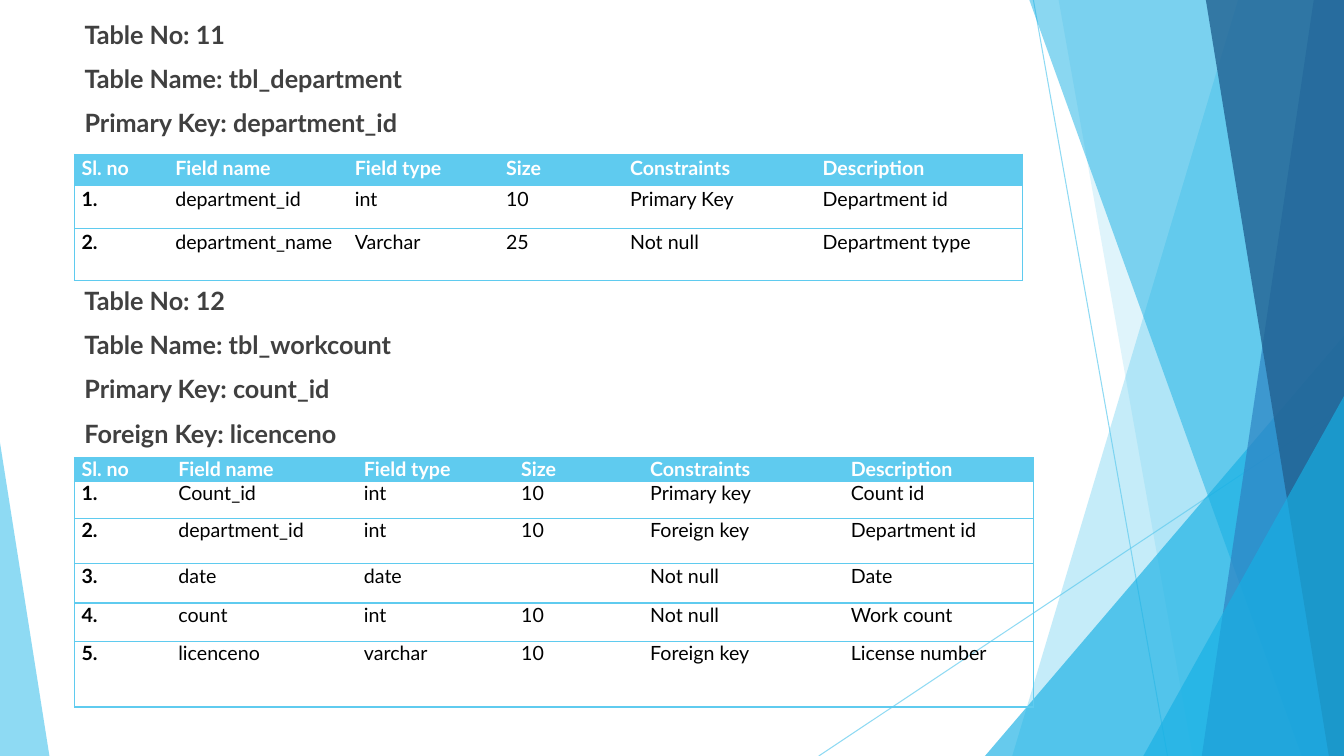
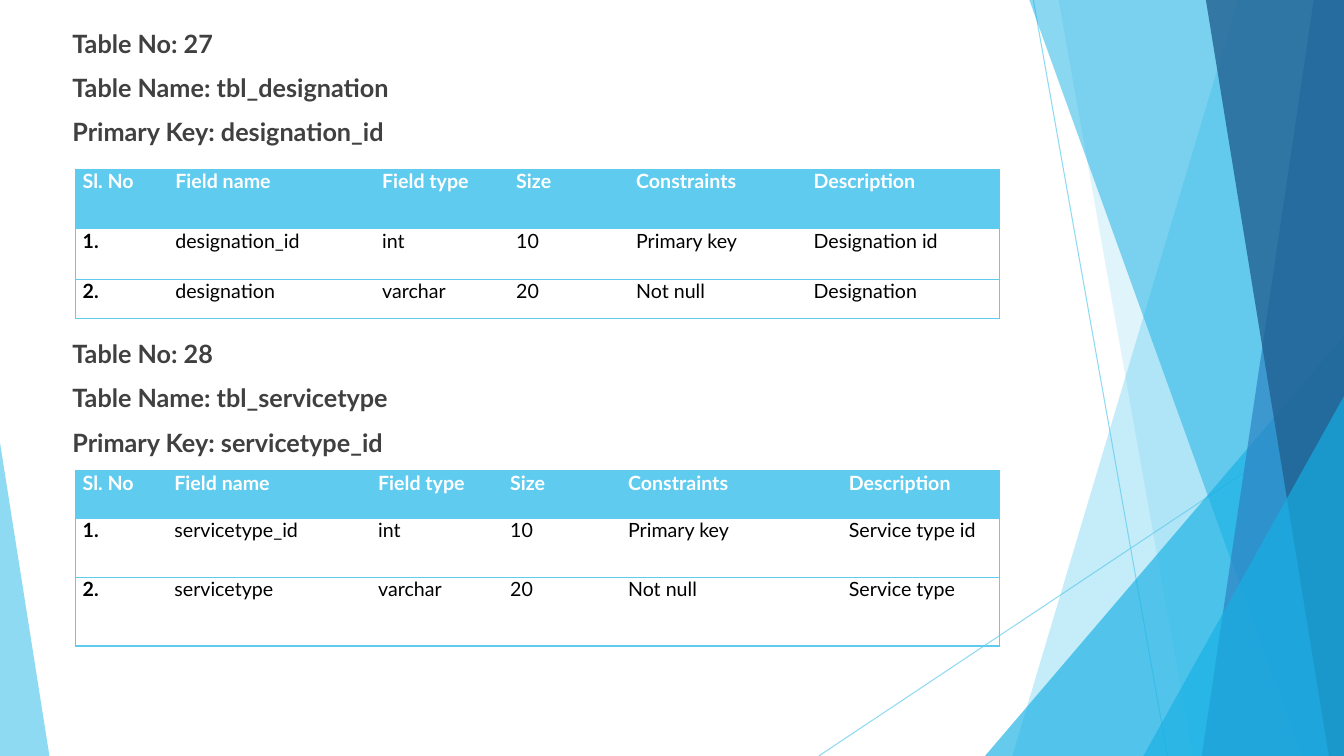
from lxml.etree import SubElement
from pptx import Presentation
from pptx.dml.color import RGBColor
from pptx.enum.shapes import MSO_CONNECTOR, MSO_SHAPE
from pptx.enum.text import PP_ALIGN
from pptx.oxml.ns import qn
from pptx.util import Emu, Inches, Pt

# Shared style
SKY = RGBColor(0x5F, 0xCB, 0xEF)
CYAN = RGBColor(0x17, 0xB0, 0xE4)
BLUE = RGBColor(0x2E, 0x83, 0xC3)
NAVY = RGBColor(0x22, 0x62, 0x92)
GREY = RGBColor(0x40, 0x40, 0x40)
BLACK = RGBColor(0, 0, 0)
WHITE = RGBColor(0xFF, 0xFF, 0xFF)
FONT = "Lato"
NO_GRID_STYLE = "{2D5ABB26-0587-4C30-8999-92F81FD0307C}"
FIELDS = ["Field name", "Field type", "Size", "Constraints", "Description"]

prs = Presentation()
prs.slide_width, prs.slide_height = Inches(13.33), Inches(7.5)
blank = prs.slide_layouts[6]


def across(percent):
    return Emu(round(prs.slide_width * percent / 100))


def down(percent):
    return Emu(round(prs.slide_height * percent / 100))


def set_alpha(fill_parent, percent):
    color = next(fill_parent.iter(qn("a:srgbClr")))
    SubElement(color, qn("a:alpha"), val=str(percent * 1000))


def style_runs(p, size, color, bold):
    for r in p.runs:
        r.font.name, r.font.size = FONT, Pt(size)
        r.font.color.rgb, r.font.bold = color, bold


# Backdrop: all positions are percentages of the slide
def paint(sp, color, alpha):
    sp.shadow.inherit = False
    sp.fill.solid()
    sp.fill.fore_color.rgb = color
    sp.line.fill.background()
    set_alpha(sp.element.spPr, alpha)


def add_ray(shapes, x1, y1, x2, y2):
    ray = shapes.add_connector(MSO_CONNECTOR.STRAIGHT, across(x1), down(y1),
                               across(x2), down(y2))
    ray.line.color.rgb, ray.line.width = SKY, Pt(0.75)
    set_alpha(ray.element.spPr, 70)
    SubElement(ray.element.spPr, qn("a:effectLst"))


def add_band(shapes, top_x, bottom_x, color, alpha):
    builder = shapes.build_freeform(across(top_x), 0)
    builder.add_line_segments([(across(100), 0), (across(100), down(100)),
                               (across(bottom_x), down(100))])
    paint(builder.convert_to_shape(), color, alpha)


def add_corner(shapes, left, right, top, apex, color, alpha):
    sp = shapes.add_shape(MSO_SHAPE.ISOSCELES_TRIANGLE, across(left), down(top),
                          across(right - left), down(100 - top))
    sp.adjustments[0] = apex
    paint(sp, color, alpha)


def add_backdrop(slide, layout):
    """Draw the facets as one group and hand it to the layout."""
    group = slide.shapes.add_group_shape()
    shapes = group.shapes
    add_ray(shapes, 76.89, 0, 86.87, 100)
    add_ray(shapes, 100, 53.73, 60.92, 100)
    add_band(shapes, 92.12, 75.32, SKY, 36)
    add_band(shapes, 78.77, 88.75, SKY, 20)
    add_corner(shapes, 73.29, 100, 44.4, 1, CYAN, 66)
    add_band(shapes, 76.59, 96.85, CYAN, 50)
    add_band(shapes, 97.75, 89.42, BLUE, 70)
    add_band(shapes, 89.72, 98.87, NAVY, 80)
    add_corner(shapes, 85.07, 100, 52.4, 1, CYAN, 66)
    add_corner(shapes, 0, 3.68, 58.53, 0, SKY, 70)
    for placeholder in list(layout.placeholders):
        placeholder.element.getparent().remove(placeholder.element)
    layout.shapes.element.append(group.element)


# Heading lines above a table
def add_heading(slide, left, top, width, lines):
    box = slide.shapes.add_textbox(left, top, width, Inches(0.44 * len(lines)))
    tf = box.text_frame
    tf.word_wrap = True
    tf.text = "\n".join(lines)
    for p in tf.paragraphs:
        p.space_before = Pt(10)
        style_runs(p, 18, GREY, True)


# Field table: header band, ruled rows, outer frame
def add_border(cell, side):
    ln = SubElement(cell._tc.get_or_add_tcPr(), qn(f"a:ln{side}"), w=str(Pt(1)))
    fill = SubElement(ln, qn("a:solidFill"))
    SubElement(fill, qn("a:srgbClr"), val=str(SKY))


def fill_cell(cell, text, header, bold, sides, spacing):
    cell.margin_left = cell.margin_right = Inches(0.07)
    cell.margin_top = cell.margin_bottom = 0
    for side in sides:
        add_border(cell, side)
    if header:
        cell.fill.solid()
        cell.fill.fore_color.rgb = SKY
    else:
        cell.fill.background()
    cell.text_frame.text = text
    p = cell.text_frame.paragraphs[0]
    p.alignment, p.line_spacing = PP_ALIGN.JUSTIFY, spacing
    style_runs(p, 14, WHITE if header else BLACK, bold)


def add_field_table(slide, left, top, width, number_label, columns, heights,
                    records, spacing=1.0):
    rows = [[number_label, *FIELDS]]
    rows += [[f"{i}.", *record] for i, record in enumerate(records, 1)]
    frame = slide.shapes.add_table(len(rows), len(columns), left, top, width,
                                   Inches(sum(heights)))
    table = frame.table
    table.first_row = table.horz_banding = False
    next(frame.element.iter(qn("a:tableStyleId"))).text = NO_GRID_STYLE
    for column, share in zip(table.columns, columns):
        column.width = Emu(round(width * share / sum(columns)))
    last = len(columns) - 1
    for i, (row, height) in enumerate(zip(rows, heights)):
        table.rows[i].height = Inches(height)
        for j, text in enumerate(row):
            sides = ("L" if j == 0 else "") + ("R" if j == last else "") + "TB"
            fill_cell(table.cell(i, j), text, i == 0, i == 0 or j == 0,
                      sides, spacing)


# Slide type: blocks of heading and table, one below the other
def add_schema_slide(text_left, table_left, blocks):
    slide = prs.slides.add_slide(blank)
    for block in blocks:
        width = across(block["width"])
        add_heading(slide, across(text_left), down(block["heading_top"]), width,
                    block["heading"])
        add_field_table(slide, across(table_left), down(block["table_top"]), width,
                        *block["table"])
    return slide


first = add_schema_slide(5.55, 5.55, [
    dict(heading_top=1.87, table_top=20.4, width=70.52,
         heading=["Table No: 11", "Table Name: tbl_department",
                  "Primary Key: department_id"],
         table=("Sl. no", [0.93, 1.78, 1.5, 1.23, 1.91, 2.05], [0.31, 0.43, 0.51],
                [["department_id", "int", "10", "Primary Key", "Department id"],
                 ["department_name", "Varchar", "25", "Not null",
                  "Department type"]], 1.07)),
    dict(heading_top=37.07, table_top=60.53, width=71.34,
         heading=["Table No: 12", "Table Name: tbl_workcount",
                  "Primary Key: count_id", "Foreign Key: licenceno"],
         table=("Sl. no", [0.96, 1.84, 1.56, 1.28, 1.99, 1.88],
                [0.22, 0.37, 0.45, 0.39, 0.38, 0.65],
                [["Count_id", "int", "10", "Primary key", "Count id"],
                 ["department_id", "int", "10", "Foreign key", "Department id"],
                 ["date", "date", "", "Not null", "Date"],
                 ["count", "int", "10", "Not null", "Work count"],
                 ["licenceno", "varchar", "10", "Foreign key",
                  "License number"]])),
])
add_backdrop(first, blank)

add_schema_slide(4.65, 5.63, [
    dict(heading_top=3.07, table_top=22.4, width=68.72,
         heading=["Table No: 27", "Table Name: tbl_designation",
                  "Primary Key: designation_id"],
         table=("Sl. No", [0.92, 2.05, 1.33, 1.19, 1.76, 1.91], [0.59, 0.5, 0.39],
                [["designation_id", "int", "10", "Primary key", "Designation id"],
                 ["designation", "varchar", "20", "Not null", "Designation"]])),
    dict(heading_top=44.1, table_top=62.27, width=68.72,
         heading=["Table No: 28", "Table Name: tbl_servicetype",
                  "Primary Key: servicetype_id"],
         table=("Sl. No", [0.91, 2.02, 1.31, 1.17, 2.19, 1.56], [0.47, 0.59, 0.68],
                [["servicetype_id", "int", "10", "Primary key", "Service type id"],
                 ["servicetype", "varchar", "20", "Not null", "Service type"]])),
])

prs.save("out.pptx")
